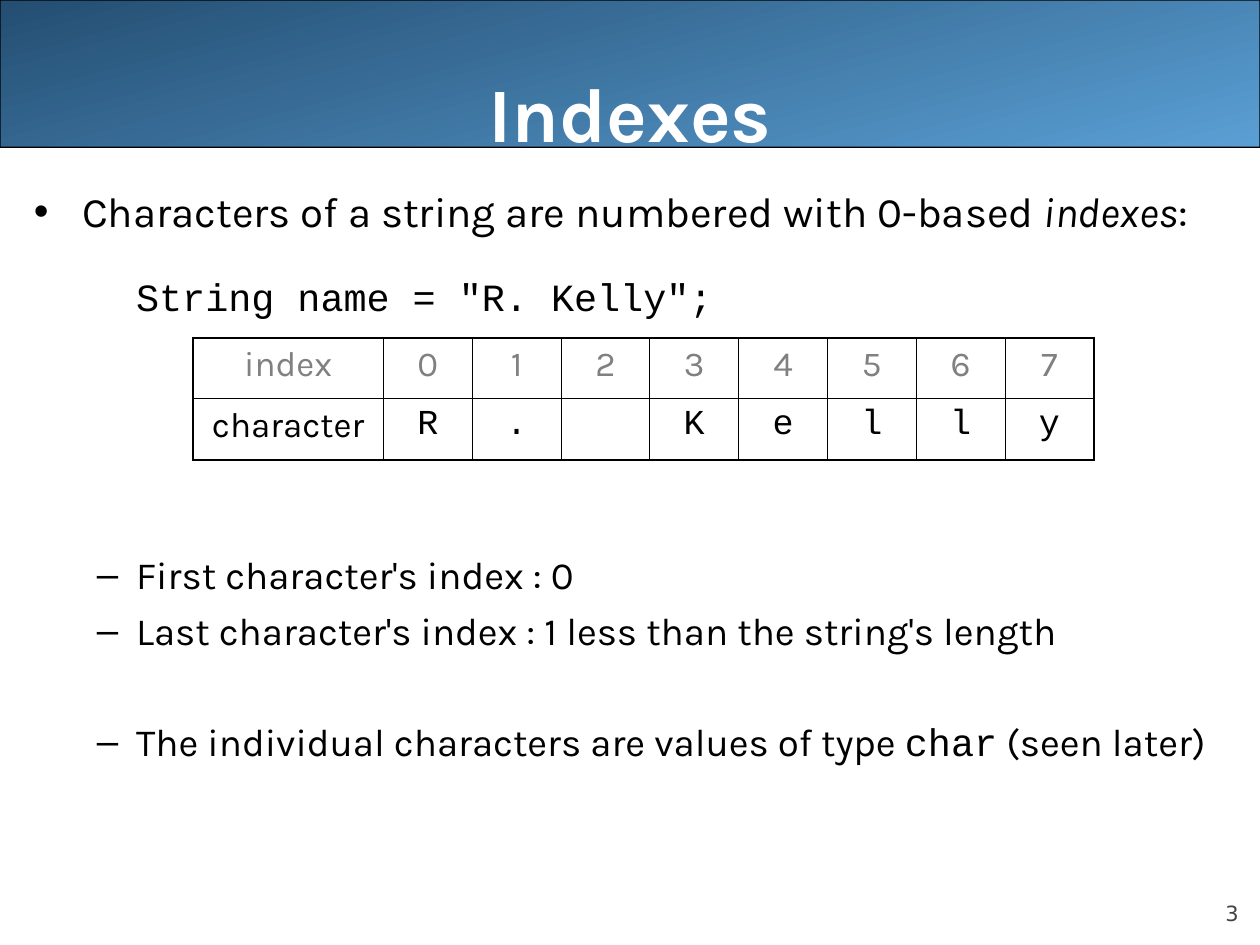
"""Build the slide on string indexes."""
from lxml import etree
from pptx import Presentation
from pptx.dml.color import RGBColor
from pptx.enum.shapes import MSO_SHAPE
from pptx.enum.text import MSO_ANCHOR, MSO_AUTO_SIZE, PP_ALIGN
from pptx.oxml.ns import qn
from pptx.util import Cm, Pt

ROUNDED = MSO_SHAPE.ROUNDED_RECTANGLE
BOTTOM = MSO_ANCHOR.BOTTOM
CENTER, RIGHT, LEFT = PP_ALIGN.CENTER, PP_ALIGN.RIGHT, PP_ALIGN.LEFT
FIXED = MSO_AUTO_SIZE.NONE
COLORS = {"ink": "000000", "title": "FFFFFF", "muted": "808080",
          "number": "424242", "band_dark": "244E72", "band_light": "5A9FD4"}
SANS, MONO, NUMBER_FONT = "Karla", "Courier New", "DejaVu Sans"
NAME = "R. Kelly"


def color(name):
    return RGBColor.from_string(COLORS[name])


def write(para, text, font=SANS, size=22, ink="ink", bold=False, italic=False):
    span = para.add_run()
    span.text = text
    span.font.name, span.font.size = font, Pt(size)
    span.font.bold, span.font.italic = bold, italic
    span.font.color.rgb = color(ink)


def add_solid(parent, tag, ink):
    holder = etree.SubElement(parent, qn(tag))
    etree.SubElement(holder, qn("a:srgbClr"), val=COLORS[ink])
    return holder


class Page:
    def __init__(self, deck):
        self.slide = deck.slides.add_slide(deck.slide_layouts[1])
        self.shapes = self.slide.shapes

    def place(self, box, left, top, width, height):
        box.left, box.top = Cm(left), Cm(top)
        box.width, box.height = Cm(width), Cm(height)
        box.text_frame.word_wrap = True
        box.text_frame.auto_size = FIXED
        return box.text_frame

    def band(self, height):
        band = self.shapes.add_shape(ROUNDED, 0, 0, Cm(25.4), Cm(height))
        band.adjustments[0] = 0.001
        band.shadow.inherit = False
        band.fill.gradient()
        band.fill.gradient_angle = 285
        for stop, name in zip(band.fill.gradient_stops, ("band_dark", "band_light")):
            stop.color.rgb = color(name)
        band.line.color.rgb = color("ink")
        band.line.width = Pt(0.75)
        self.shapes.element.insert(2, band.element)

    def number(self, text):
        box = self.shapes.add_textbox(0, 0, 0, 0)
        frame = self.place(box, 22.86, 17.65, 2.11, 1.02)
        frame.margin_left = frame.margin_right = 0
        frame.margin_top = frame.margin_bottom = 0
        frame.vertical_anchor = BOTTOM
        para = frame.paragraphs[0]
        para.alignment = RIGHT
        write(para, text, font=NUMBER_FONT, size=12, ink="number")

    def title(self, text):
        frame = self.place(self.shapes.title, 1.27, 0, 22.86, 3.18)
        frame.margin_left = frame.margin_right = frame.margin_bottom = 0
        frame.margin_top = Cm(0.13)
        frame.vertical_anchor = BOTTOM
        para = frame.paragraphs[0]
        para.alignment = CENTER
        write(para, text, size=44, ink="title", bold=True)

    def body(self, items):
        frame = self.place(self.slide.placeholders[1], 0.43, 3.61, 24.97, 14.4)
        for number, (level, bullet, before, spans) in enumerate(items):
            para = frame.add_paragraph() if number else frame.paragraphs[0]
            para.level, para.alignment = level, LEFT
            para.space_before = Pt(before)
            self.bullet(para, bullet, *((2.06, 0.79) if level else (0.97, 0.97)))
            for text, style in spans:
                write(para, text, **style)

    def bullet(self, para, mark, margin, hang):
        props = para._p.get_or_add_pPr()
        props.set("marL", str(Cm(margin)))
        props.set("indent", str(-Cm(hang) if mark else 0))
        if mark:
            add_solid(props, "a:buClr", "ink")
            etree.SubElement(props, qn("a:buChar"), char=mark)
        else:
            etree.SubElement(props, qn("a:buNone"))

    def table(self, rows, left, top, label_width, width, height):
        count, columns = len(rows), len(rows[0])
        total = label_width + width * (columns - 1)
        grid = self.shapes.add_table(count, columns, Cm(left), Cm(top),
                                     Cm(total), Cm(height * count)).table
        grid.first_row = grid.horz_banding = False
        for number, column in enumerate(grid.columns):
            column.width = Cm(width if number else label_width)
        for r, texts in enumerate(rows):
            grid.rows[r].height = Cm(height)
            for c, text in enumerate(texts):
                cell = grid.cell(r, c)
                self.borders(cell, {"a:lnL": c == 0, "a:lnR": c == columns - 1,
                                    "a:lnT": r == 0, "a:lnB": r == count - 1})
                cell.fill.background()
                para = cell.text_frame.paragraphs[0]
                para.alignment, para.space_before = CENTER, Pt(5)
                if text.strip():
                    write(para, text, size=20, font=MONO if r and c else SANS,
                          ink="ink" if r else "muted")

    def borders(self, cell, sides):
        props = cell._tc.get_or_add_tcPr()
        for tag, outer in sides.items():
            line = etree.SubElement(props, qn(tag), w=str(Pt(1.08 if outer else 0.45)))
            add_solid(line, "a:solidFill", "ink")


def main():
    deck = Presentation()
    deck.slide_width, deck.slide_height = Cm(25.4), Cm(19.05)
    page = Page(deck)
    page.band(2.97)
    page.number("3")
    page.title("Indexes")
    page.body([
        (0, "•", 6, [("Characters of a string are numbered with 0-based ", {"size": 24}),
                     ("indexes", {"size": 24, "italic": True}), (":", {"size": 24})]),
        (1, None, 21.5, [(f'String name = "{NAME}";', {"font": MONO})]),
        (1, "–", 132.5, [("First character's index : 0", {})]),
        (1, "–", 5.5, [("Last character's index : 1 less than the string's length", {})]),
        (1, "–", 37, [("The individual characters are values of type ", {}),
                      ("char", {"font": MONO}), (" (seen later)", {})]),
    ])
    indexes = [str(index) for index in range(len(NAME))]
    page.table([["index", *indexes], ["character", *NAME]],
               left=3.89, top=6.81, label_width=3.84, width=1.79, height=1.23)
    deck.save("out.pptx")


if __name__ == "__main__":
    main()
